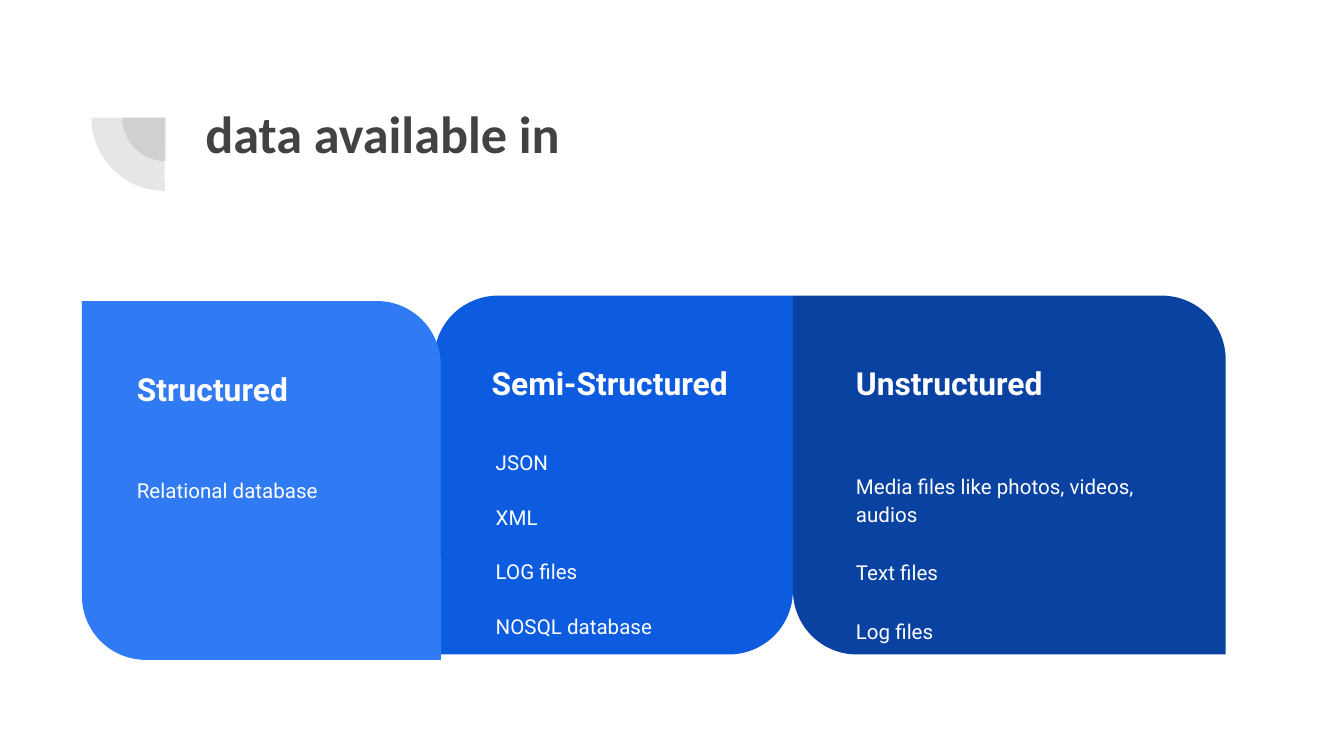
from pptx import Presentation
from pptx.dml.color import RGBColor
from pptx.enum.shapes import MSO_SHAPE
from pptx.oxml.ns import qn
from pptx.util import Inches, Pt
from lxml.etree import SubElement

WHITE = RGBColor(0xFF, 0xFF, 0xFF)
GREY = RGBColor(0x42, 0x42, 0x42)
LIGHT_BLUE = RGBColor(0x30, 0x7A, 0xF3)
MID_BLUE = RGBColor(0x0D, 0x5C, 0xDF)
DARK_BLUE = RGBColor(0x09, 0x42, 0xA1)
CORNER = 0.178


def add_filled_shape(page, kind, left, top, width, height, color, adjustments):
    """Add a preset shape with a plain fill and no line or shadow."""
    shape = page.shapes.add_shape(
        kind, Inches(left), Inches(top), Inches(width), Inches(height))
    for index, value in enumerate(adjustments):
        shape.adjustments[index] = value
    shape.shadow.inherit = False
    shape.fill.solid()
    shape.fill.fore_color.rgb = color
    shape.line.fill.background()
    return shape


def add_quarter(page, left, top, size):
    """Add a translucent quarter disc."""
    quarter = add_filled_shape(
        page, MSO_SHAPE.PIE, left, top, size, size, GREY, (107.93, 162))
    quarter.rotation = 270
    color = quarter.fill._xPr.find(qn("a:solidFill"))[0]
    SubElement(color, qn("a:alpha")).set("val", "13000")


def add_text(page, left, top, width, height, lines, size, color=WHITE,
             font="Roboto", bold=False, spacing=None, after=0):
    """Add a wrapped text box with one paragraph per line."""
    box = page.shapes.add_textbox(
        Inches(left), Inches(top), Inches(width), Inches(height))
    frame = box.text_frame
    frame.word_wrap = True
    frame.margin_left = frame.margin_right = Inches(0.1)
    frame.margin_top = frame.margin_bottom = Inches(0.1)
    frame.text = "\n".join(lines)
    for para in frame.paragraphs:
        para.line_spacing = spacing
        para.space_after = Pt(after)
        para.font.name = font
        para.font.size = Pt(size)
        para.font.bold = bold
        para.font.color.rgb = color


def add_card(page, left, top, width, color, corners, text_left, text_width,
             heading, body_left, body_top, body_height, lines, spacing=None):
    """Add a card with two rounded corners, a heading and body lines."""
    add_filled_shape(page, MSO_SHAPE.ROUND_2_DIAG_RECTANGLE,
                     left, top, width, 2.67, color, corners)
    add_text(page, text_left, top + 0.41, text_width, 0.78, [heading], 17,
             bold=True)
    add_text(page, body_left, body_top, text_width, body_height, lines, 11,
             spacing=spacing, after=16)


def main():
    """Build the slide and save it."""
    deck = Presentation()
    deck.slide_width = Inches(10)
    deck.slide_height = deck.slide_width * 9 // 16
    page = deck.slides.add_slide(deck.slide_layouts[6])

    add_quarter(page, 0.91, 0.55, 0.65)
    add_quarter(page, 0.68, 0.33, 1.09)
    add_text(page, 1.43, 0.65, 7.69, 1.09, ["data available in"], 28,
             GREY, "Calibri", bold=True)

    add_card(page, 3.23, 2.2, 2.67, MID_BLUE, (CORNER, 0), 3.56, 2,
             "Semi-Structured", 3.59, 3.25, 1.01,
             ["JSON", "XML", "LOG files", "NOSQL database"])
    add_card(page, 0.61, 2.24, 2.67, LIGHT_BLUE, (0, CORNER), 0.92, 2,
             "Structured", 0.92, 3.43, 0.87, ["Relational database"], 1.15)
    add_card(page, 5.9, 2.2, 3.22, DARK_BLUE, (0, CORNER), 6.27, 2.59,
             "Unstructured", 6.27, 3.4, 0.87,
             ["Media files like photos, videos, audios", "Text files",
              "Log files"], 1.15)

    deck.save("out.pptx")


if __name__ == "__main__":
    main()
